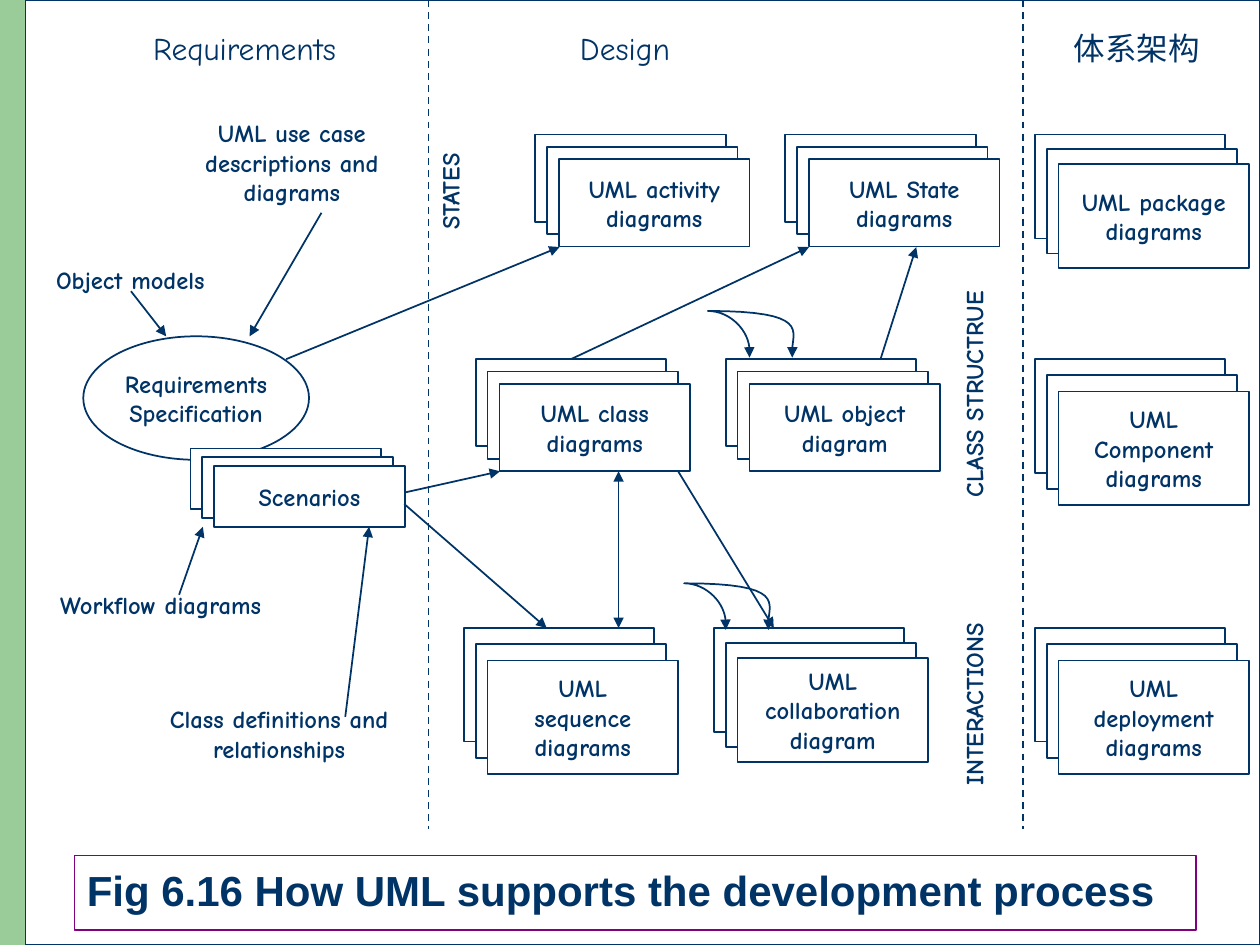
from typing import NamedTuple

from lxml.etree import SubElement as Sub
from pptx import Presentation as Deck
from pptx.dml.color import RGBColor as Rgb
from pptx.enum.dml import MSO_LINE_DASH_STYLE as Dash
from pptx.enum.shapes import MSO_CONNECTOR_TYPE as Link
from pptx.enum.shapes import MSO_SHAPE as Kind
from pptx.enum.text import MSO_ANCHOR as Anchor
from pptx.enum.text import PP_ALIGN as Align
from pptx.oxml.ns import qn
from pptx.util import Cm, Pt


class Theme(NamedTuple):
    navy: Rgb = Rgb(0x00, 0x33, 0x66)
    green: Rgb = Rgb(0x99, 0xCC, 0x99)
    plum: Rgb = Rgb(0x80, 0x00, 0x80)
    white: Rgb = Rgb(0xFF, 0xFF, 0xFF)
    thin: float = 0.75
    line: float = 1
    body: dict = {"name": "Comic Neue", "size": Pt(14), "bold": True}
    head: dict = {"name": "Comic Neue", "size": Pt(18), "bold": False}
    title: dict = {"name": "Arial", "size": Pt(24), "bold": True}


class Box(NamedTuple):
    x: float
    y: float
    w: float
    h: float


class Label(NamedTuple):
    text: str
    box: Box


class Stack(NamedTuple):
    x: float
    y: float
    h: float
    text: str


class Arrow(NamedTuple):
    x1: float
    y1: float
    x2: float
    y2: float
    both: bool = False


T = Theme()
deck = Deck()
deck.slide_width, deck.slide_height = Cm(25.4), Cm(19.05)
shapes = deck.slides.add_slide(deck.slide_layouts[6]).shapes


def write(shape, text: str, style: dict, align=Align.CENTER,
          anchor=Anchor.MIDDLE, wrap: bool = False) -> None:
    frame = shape.text_frame
    frame.text = text
    frame.word_wrap = wrap
    frame.vertical_anchor = anchor
    for para in frame.paragraphs:
        para.alignment = align
        para.font.color.rgb = T.navy
        for key, value in style.items():
            setattr(para.font, key, value)


def block(box: Box, fill=T.white, edge=T.navy, width: float = T.line,
          kind=Kind.RECTANGLE):
    shape = shapes.add_shape(kind, *map(Cm, box))
    shape.shadow.inherit = False
    if fill is None:
        shape.fill.background()
    else:
        shape.fill.solid()
        shape.fill.fore_color.rgb = fill
    if edge is None:
        shape.line.fill.background()
    else:
        shape.line.color.rgb = edge
        shape.line.width = Pt(width)
    return shape


def pile(item: Stack) -> None:
    """Three cards, each a seventh of its height lower than the last."""
    for step in range(3):
        card = block(Box(item.x + step * 0.24, item.y + step * item.h / 7,
                         3.84, item.h))
    write(card, item.text, T.body)


def label(item: Label, style: dict, upright: bool = False) -> None:
    shape = shapes.add_textbox(*map(Cm, item.box))
    write(shape, item.text, style, anchor=Anchor.TOP, wrap=not upright)
    if upright:
        frame = shape.text_frame
        frame.margin_left = frame.margin_right = Cm(0.13)
        frame.margin_top = frame.margin_bottom = Cm(0.25)
        frame._txBody.bodyPr.set("vert", "vert270")


def tips(shape, *ends: str) -> None:
    for end in ends:
        Sub(shape.line._get_or_add_ln(), qn("a:" + end), type="triangle")


def link(item: Arrow):
    line = shapes.add_connector(Link.STRAIGHT, *map(Cm, item[:4]))
    line.line.color.rgb = T.navy
    line.line.width = Pt(T.line)
    Sub(line._element.spPr, qn("a:effectLst"))
    return line


def curve(a: tuple, b: tuple, c: tuple, d: tuple, count: int = 16) -> list:
    """Points along a cubic curve, without its start."""
    steps = [n / count for n in range(1, count + 1)]
    return [tuple((1 - t) ** 3 * p + 3 * t * (1 - t) ** 2 * q
                  + 3 * t * t * (1 - t) * r + t ** 3 * s
                  for p, q, r, s in zip(a, b, c, d)) for t in steps]


def hook(x: float, y: float) -> None:
    """Two arrows that leave one point and bend down."""
    dots = [(0.84, 0.94), (0.84, 0.8)]
    dots += curve(dots[-1], (0.84, 0.41), (0.46, 0), (0, 0))
    dots += curve((0, 0), (2.08, 0), (1.7, 0.41), (1.7, 0.8))
    dots.append((1.7, 0.94))
    first, *rest = [(Cm(x + dx), Cm(y + dy)) for dx, dy in dots]
    pen = shapes.build_freeform(*first)
    pen.add_line_segments(rest, close=False)
    shape = pen.convert_to_shape()
    shape.shadow.inherit = False
    shape.fill.background()
    shape.line.color.rgb = T.navy
    shape.line.width = Pt(T.line)
    tips(shape, "headEnd", "tailEnd")


# Side bar and panel
block(Box(0, 0, 2.06, 19.05), T.green, None)
block(Box(0.51, 0, 24.89, 19.05), width=T.thin)

# Column breaks
for x in (8.64, 20.62):
    link(Arrow(x, 0, x, 16.71)).line.dash_style = Dash.DASH

# Specification and card stacks
oval = block(Box(1.68, 6.78, 4.55, 2.49), kind=Kind.OVAL)
write(oval, "Requirements\nSpecification", T.body)
TOP, MID, LOW = 2.71, 7.24, 12.66
for item in (
    Stack(3.84, 9.04, 1.23, "Scenarios"),
    Stack(10.79, TOP, 1.76, "UML activity\ndiagrams"),
    Stack(15.83, TOP, 1.76, "UML State\ndiagrams"),
    Stack(9.59, MID, 1.76, "UML class\ndiagrams"),
    Stack(14.63, MID, 1.76, "UML object\ndiagram"),
    Stack(9.35, LOW, 2.29, "UML\nsequence\ndiagrams"),
    Stack(14.39, LOW, 2.1, "UML\ncollaboration\ndiagram"),
    Stack(20.86, TOP, 2.1, "UML package\ndiagrams"),
    Stack(20.86, MID, 2.29, "UML\nComponent\ndiagrams"),
    Stack(20.86, LOW, 2.29, "UML\ndeployment\ndiagrams"),
):
    pile(item)

# Column heads
for item in (
    Label("Requirements", Box(1.93, 0.46, 6, 1.02)),
    Label("Design", Box(9.6, 0.46, 6, 1.02)),
    Label("体系架构", Box(21.36, 0.46, 3.12, 1.02)),
):
    label(item, T.head)

# Inputs
for item in (
    Label("Object models", Box(0.23, 5.21, 4.8, 0.86)),
    Label("UML use case descriptions and diagrams",
          Box(3.61, 2.26, 4.55, 2.03)),
    Label("Workflow diagrams", Box(0, 11.76, 6.48, 0.86)),
    Label("Class definitions and relationships",
          Box(2.39, 14.07, 6.48, 1.45)),
):
    label(item, T.body)

# Upright row names
for item in (
    Label("STATES", Box(8.64, 2.92, 1.09, 1.88)),
    Label("CLASS STRUCTRUE", Box(19.2, 5.74, 1.09, 4.42)),
    Label("INTERACTIONS", Box(19.2, 12.42, 1.09, 3.56)),
):
    label(item, T.body, upright=True)

# Arrows
for item in (
    Arrow(6.48, 4.29, 5.03, 6.78),
    Arrow(2.64, 5.87, 3.35, 6.78),
    Arrow(3.61, 11.99, 4.09, 10.62),
    Arrow(6.96, 14.45, 7.44, 10.62),
    Arrow(5.77, MID, 11.28, 4.98),
    Arrow(11.51, MID, 16.31, 4.98),
    Arrow(17.75, MID, 18.47, 4.98),
    Arrow(8.15, 9.93, 10.08, 9.5),
    Arrow(8.15, 10.16, 11.02, LOW),
    Arrow(13.67, 9.5, 15.6, LOW),
    Arrow(12.47, 9.5, 12.47, LOW, both=True),
):
    tips(link(item), *(["headEnd"] if item.both else []), "tailEnd")
hook(13.79, 11.76)
hook(14.27, 6.27)

# Caption
note = block(Box(1.5, 17.25, 22.61, 1.5), None, T.plum, T.thin)
write(note, "Fig 6.16 How UML supports the development process", T.title,
      Align.LEFT, wrap=True)
note.text_frame.paragraphs[0].line_spacing = 0.9

deck.save("out.pptx")
